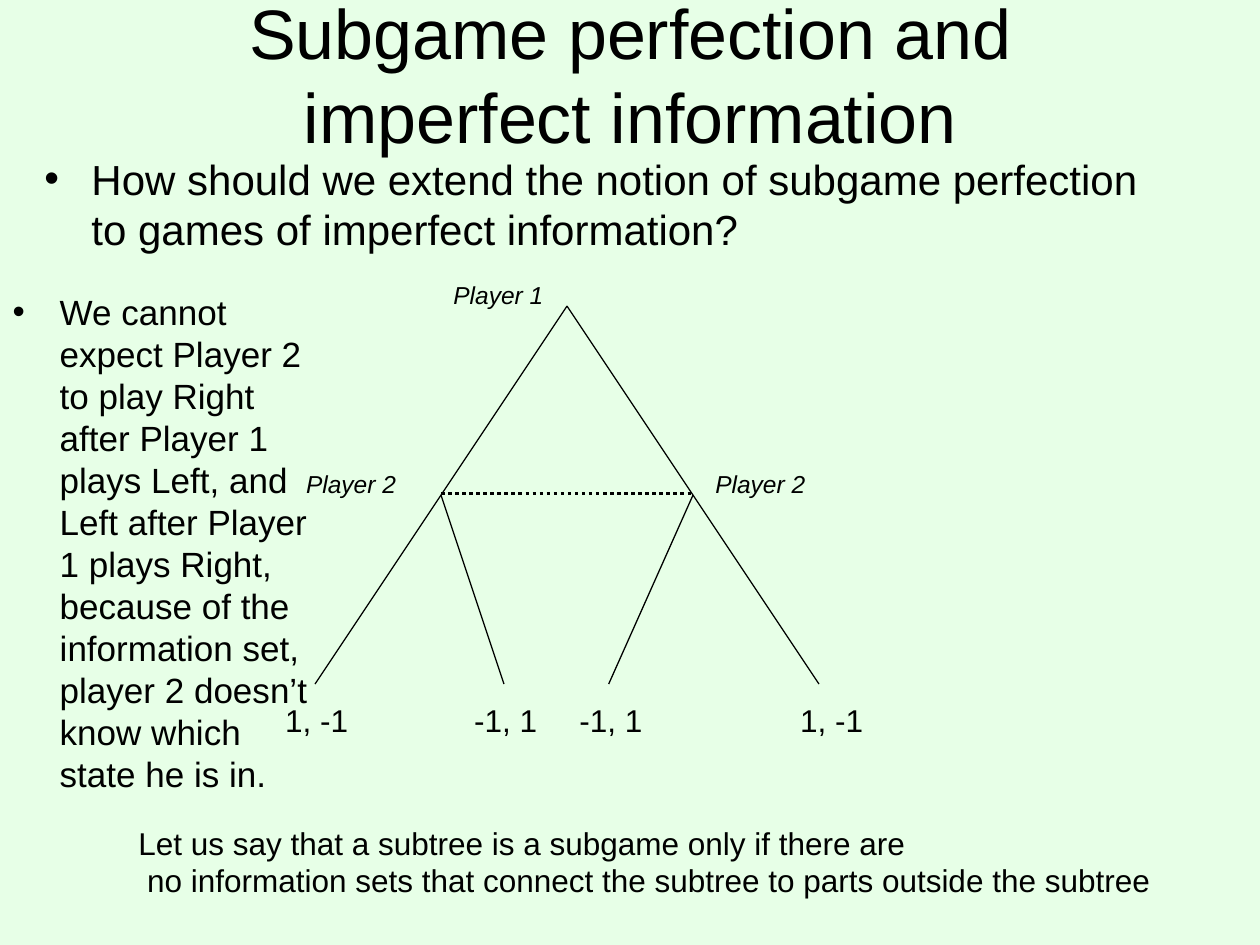
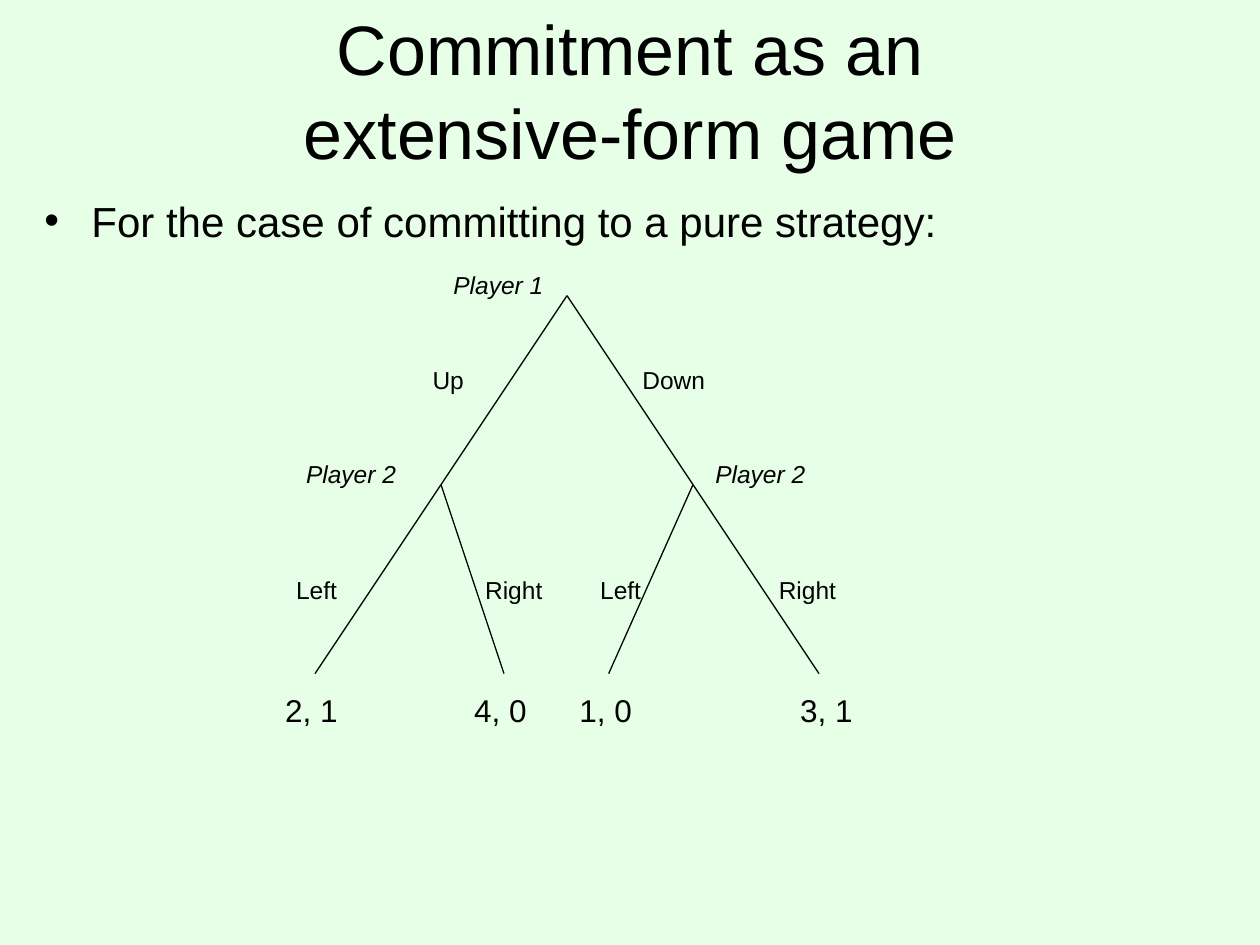
from dataclasses import dataclass

from lxml import etree
from pptx import Presentation
from pptx.dml.color import RGBColor
from pptx.enum import dml, shapes, text
from pptx.oxml.ns import qn
from pptx.util import Cm, Pt


@dataclass(frozen=True)
class Theme:
    font: str = "Arial"
    ink: RGBColor = RGBColor(0x00, 0x00, 0x00)
    ground: RGBColor = RGBColor(0xE7, 0xFF, 0xE7)
    title: int = 40
    lead: int = 24
    aside: int = 20
    payoff: int = 18
    label: int = 14
    branch: float = 0.75
    information_set: float = 2


theme = Theme()


def write(holder, lines, box, size, italic=False, bullet=False, **frame_format):
    """Place a text holder and fill it, one paragraph for each line."""
    for side, length in zip(("left", "top", "width", "height"), box):
        setattr(holder, side, Cm(length))
    frame = holder.text_frame
    frame.text = "\n".join(lines)
    settings = {"word_wrap": True, "auto_size": text.MSO_AUTO_SIZE.NONE}
    for name, value in (settings | frame_format).items():
        setattr(frame, name, value)
    font_format = {"name": theme.font, "size": Pt(size), "italic": italic}
    for paragraph in frame.paragraphs:
        for run in paragraph.runs:
            for name, value in font_format.items():
                setattr(run.font, name, value)
            run.font.color.rgb = theme.ink
        if bullet:
            properties = paragraph._p.get_or_add_pPr()
            properties.set("marL", str(Cm(0.95)))
            properties.set("indent", str(-Cm(0.95)))
            etree.SubElement(properties, qn("a:buChar"), char="•")


def join(slide, start, end, width):
    """Draw a plain line between two (x, y) points."""
    line = slide.shapes.add_connector(
        shapes.MSO_CONNECTOR.STRAIGHT, *(Cm(n) for n in (*start, *end)))
    line.line.color.rgb = theme.ink
    line.line.width = Pt(width)
    etree.SubElement(line._element.spPr, qn("a:effectLst"))
    return line


# Presentation and shared background
deck = Presentation()
deck.slide_width, deck.slide_height = Cm(25.4), Cm(19.05)
background = deck.slide_master.background.fill
background.solid()
background.fore_color.rgb = theme.ground

# Game tree shared by both slides: x positions, and depth below the root
tier = 3.81
root_x, left_x, right_x = 11.43, 8.89, 13.97
branches = [
    (root_x, left_x, 0), (root_x, right_x, 0),
    (right_x, 12.27, 1), (right_x, 16.51, 1),
    (left_x, 6.35, 1), (left_x, 10.16, 1),
]
players = [("Player 1", 8.89, 0), ("Player 2", 5.92, 1), ("Player 2", 14.17, 1)]
payoff_x = [5.5, 9.31, 11.43, 15.88]

# Content; each list is (lines, box, size)
games = [
    {
        "layout": 3,
        "title": "Subgame perfection and imperfect information",
        "title_height": 1.7,
        "lists": [
            ("How should we extend the notion of subgame perfection "
             "to games of imperfect information?",
             (0.64, 2.96, 23.28, 2.75), theme.lead),
            ("We cannot expect Player 2 to play Right after Player 1 plays "
             "Left, and Left after Player 1 plays Right, because of the "
             "information set, player 2 doesn’t know which state he is in.",
             (0, 5.72, 6.77, 6.98), theme.aside),
        ],
        "root_y": 6.17,
        "payoffs": ["1, -1", "-1, 1", "-1, 1", "1, -1"],
        "moves": [],
    },
    {
        "layout": 1,
        "title": "Commitment as an extensive-form game",
        "title_height": 2.33,
        "lists": [
            ("For the case of committing to a pure strategy:",
             (0.64, 3.81, 23.28, 2.33), theme.lead),
        ],
        "root_y": 5.96,
        "payoffs": ["2, 1", "4, 0", "1, 0", "3, 1"],
        "moves": [
            ("Up", 8.47, 0), ("Down", 12.7, 0),
            ("Left", 5.72, 1), ("Right", 9.53, 1),
            ("Left", 11.85, 1), ("Right", 15.45, 1),
        ],
    },
]

slides = []
for game in games:
    slide = deck.slides.add_slide(deck.slide_layouts[game["layout"]])
    slides.append(slide)
    root_y = game["root_y"]

    # Title and lists
    heading, *bodies = slide.placeholders
    write(heading, [game["title"]], (3.39, 0.64, 18.63, game["title_height"]),
          theme.title, vertical_anchor=text.MSO_ANCHOR.MIDDLE)
    for body, (sentence, box, size) in zip(bodies, game["lists"]):
        write(body, [sentence], box, size, bullet=True)

    # Branches
    for start_x, end_x, depth in branches:
        start_y = root_y + depth * tier
        join(slide, (start_x, start_y), (end_x, start_y + tier), theme.branch)

    # Players, moves and payoffs
    labels = [(name, x, depth * tier - 0.64, theme.label, True)
              for name, x, depth in players]
    labels += [(move, x, 1.27 + depth * 4.23, theme.label, False)
               for move, x, depth in game["moves"]]
    labels += [(payoff, x, 2 * tier + 0.22, theme.payoff, False)
               for payoff, x in zip(game["payoffs"], payoff_x)]
    for label, x, drop, size, italic in labels:
        height = 1.02 if size == theme.payoff else 0.85
        write(slide.shapes.add_textbox(0, 0, 0, 0), [label],
              (x, root_y + drop, 2.54, height), size, italic)

# Information set and the definition of a subgame
imperfect = slides[0]
set_y = games[0]["root_y"] + tier - 0.03
information_set = join(imperfect, (left_x, set_y), (right_x, set_y),
                       theme.information_set)
information_set.line.dash_style = dml.MSO_LINE.ROUND_DOT
write(imperfect.shapes.add_textbox(0, 0, 0, 0),
      ["Let us say that a subtree is a subgame only if there are",
       " no information sets that connect the subtree to parts outside the subtree"],
      (2.54, 16.48, 21.11, 2.57), theme.payoff, word_wrap=False)

deck.save("out.pptx")
